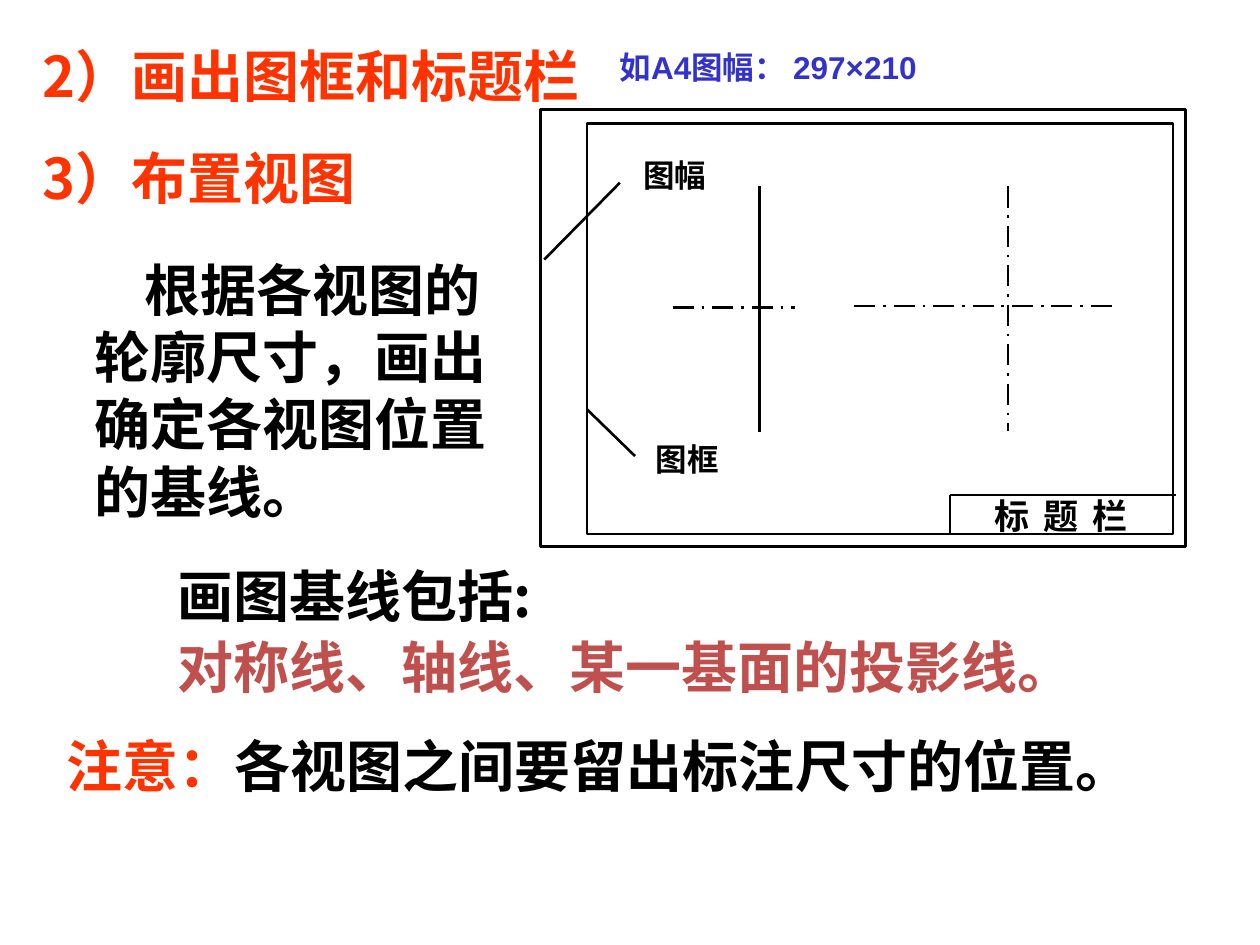
from pptx import Presentation
from pptx import util as u
from pptx.dml.color import RGBColor
from pptx.enum import dml, shapes, text
from pptx.oxml.ns import qn
from lxml import etree

In = u.Inches
CJK = "Noto Sans CJK SC"
RED, BLACK, BLUE, ROSE = "FF3300", "000000", "3333CC", "C0504D"


def hue(code):
    return RGBColor.from_string(code)


def add_text(page, box, runs, size=32, face=CJK, mid=False):
    """Add a bold one-paragraph box; runs are (words, colour) pairs."""
    frame = page.shapes.add_textbox(*map(In, box)).text_frame
    frame.word_wrap = not mid
    frame.vertical_anchor = text.MSO_ANCHOR.MIDDLE
    para = frame.paragraphs[0]
    if mid:
        para.alignment = text.PP_ALIGN.CENTER
    para.font.size = u.Pt(size)
    para.font.bold = True
    para.font.name = face
    for words, code in runs:
        run = para.add_run()
        run.text = words
        run.font.color.rgb = hue(code)
        run.font.name = face
        east = etree.SubElement(run.font._element, qn("a:ea"))
        east.set("typeface", CJK)
    return para


def add_line(page, start, end, dash=False):
    line = page.shapes.add_connector(
        shapes.MSO_CONNECTOR.STRAIGHT, *map(In, start + end))
    line.line.color.rgb = hue(BLACK)
    line.line.width = u.Pt(1.5)
    if dash:
        line.line.dash_style = dml.MSO_LINE.LONG_DASH_DOT
    etree.SubElement(line._element.spPr, qn("a:effectLst"))


def add_frame(page, box):
    rect = page.shapes.add_shape(shapes.MSO_SHAPE.RECTANGLE, *map(In, box))
    rect.shadow.inherit = False
    rect.fill.background()
    rect.line.color.rgb = hue(BLACK)
    rect.line.width = u.Pt(1.5)


def add_sheet(page):
    """Draw the sheet with its frame, base lines, title block and labels."""
    for box in ((4.29, 0.87, 5.12, 3.47), (4.66, 0.98, 4.65, 3.26)):
        add_frame(page, box)
    for start, end in (((6.78, 2.43), (8.84, 2.43)),
                       ((5.34, 2.44), (6.31, 2.44)),
                       ((8, 1.48), (8, 3.42))):
        add_line(page, start, end, dash=True)
    for start, end in (((6.03, 1.48), (6.03, 3.43)),
                       ((7.54, 3.93), (7.54, 4.24)),
                       ((7.54, 3.93), (9.33, 3.93)),
                       ((4.66, 3.25), (5.04, 3.62)),
                       ((4.32, 2.06), (4.92, 1.45))):
        add_line(page, start, end)
    for words, left, top in (("图框", 5.02, 3.39), ("图幅", 4.92, 1.14)):
        add_text(page, (left, top, 0.87, 0.5), [(words, BLACK)],
                 18, "Arial", True)
    title = add_text(page, (7.76, 3.88, 1.32, 0.43), [("标 题 栏", BLACK)],
                     20, "Arial", True)
    title.runs[0].font._element.set("spc", "180")


def main():
    deck = Presentation()
    deck.slide_width, deck.slide_height = In(10), In(7.5)
    page = deck.slides.add_slide(deck.slide_layouts[6])

    add_text(page, (0.24, 0.28, 5.56, 0.63), [("2）画出图框和标题栏", RED)])
    add_text(page, (0.24, 1.09, 2.86, 0.63), [("3）布置视图", RED)])
    body = add_text(page, (0.65, 1.98, 3.35, 2.23),
                    [("根据各视图的轮廓尺寸，画出确定各视图位置的基线。", BLACK)])
    body.line_spacing = u.Pt(38.4)
    body._p.get_or_add_pPr().set("indent", str(In(0.4)))
    add_sheet(page)
    add_text(page, (4.82, 0.28, 3.36, 0.5),
             [("如A4图幅： 297×210", BLUE)], 18, "Arial")
    add_text(page, (1.31, 4.41, 3.83, 0.63), [("画图基线包括:", BLACK)])
    add_text(page, (1.31, 4.97, 7.48, 0.63),
             [("对称线、轴线、某一基面的投影线。", ROSE)])
    add_text(page, (0.43, 5.76, 8.81, 0.63),
             [("注意：", RED), ("各视图之间要留出标注尺寸的位置。", BLACK)])
    deck.save("out.pptx")


if __name__ == "__main__":
    main()
